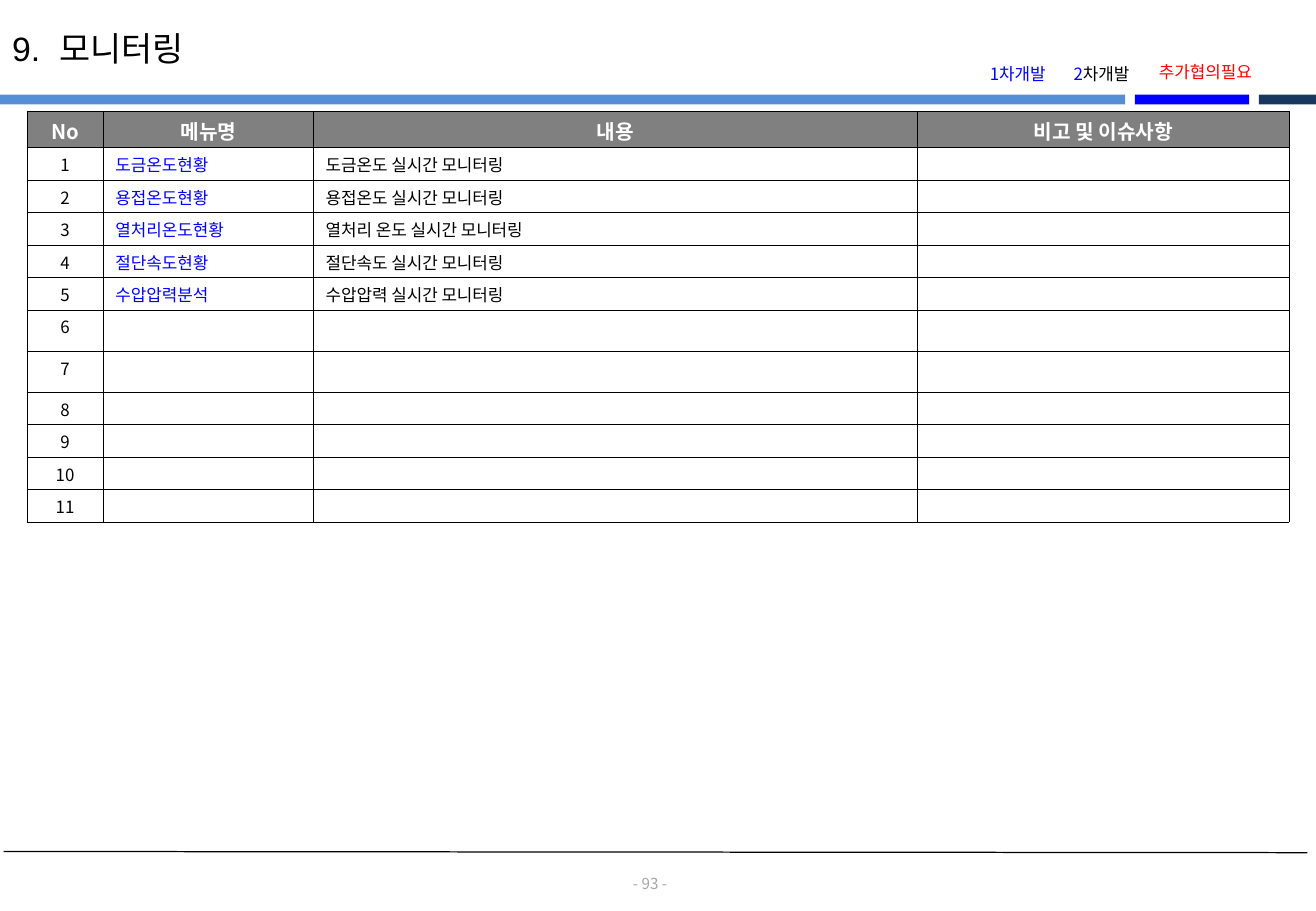
from lxml.etree import SubElement
from pptx import Presentation
from pptx.dml.color import RGBColor
from pptx.enum.shapes import MSO_CONNECTOR, MSO_SHAPE
from pptx.enum.text import MSO_ANCHOR, MSO_AUTO_SIZE, PP_ALIGN
from pptx.oxml import parse_xml
from pptx.oxml.ns import nsdecls, qn
from pptx.util import Inches, Pt

COLORS = {"sky": "558ED5", "blue": "0000FF", "navy": "17375E", "black": "000000",
          "white": "FFFFFF", "gray": "808080", "light": "A6A6A6", "red": "FF0000"}
KOREAN = "Noto Sans CJK KR"
WIDTH, HEIGHT = 10.83, 7.5


def add_run(paragraph, text, color, size=10, font=KOREAN, bold=False):
    run = paragraph.add_run()
    run.text = text
    formats = {"size": Pt(size), "name": font, "bold": bold}
    for name, value in formats.items():
        setattr(run.font, name, value)
    run.font.color.rgb = RGBColor.from_string(COLORS[color])
    if font == KOREAN:
        SubElement(run.font._element, qn("a:ea"), typeface=font)
    return run


def add_label(left, top, width, height, runs, size):
    box = slide.shapes.add_textbox(*map(Inches, (left, top, width, height)))
    formats = {"margin_left": 0, "margin_right": 0, "margin_top": 0, "margin_bottom": 0,
               "word_wrap": True, "vertical_anchor": MSO_ANCHOR.MIDDLE}
    for name, value in formats.items():
        setattr(box.text_frame, name, value)
    paragraph = box.text_frame.paragraphs[0]
    paragraph.alignment = PP_ALIGN.CENTER
    for text, color in runs:
        add_run(paragraph, text, color, size)


presentation = Presentation()
presentation.slide_width, presentation.slide_height = Inches(WIDTH), Inches(HEIGHT)
slide = presentation.slides.add_slide(presentation.slide_layouts[5])

# Header bars
for left, width, color in [(0, 9.26, "sky"), (9.34, 0.94, "blue"), (10.36, 0.47, "navy")]:
    bar = slide.shapes.add_shape(MSO_SHAPE.RECTANGLE, *map(Inches, (left, 0.78, width, 0.08)))
    bar.shadow.inherit = False
    bar.fill.solid()
    bar.fill.fore_color.rgb = RGBColor.from_string(COLORS[color])
    bar.line.fill.background()

# Footer line and page number
line = slide.shapes.add_connector(MSO_CONNECTOR.STRAIGHT, *map(Inches, (0.03, 7.01, 10.76, 7.02)))
line.line.width = Pt(0.75)
line.line.color.rgb = RGBColor.from_string(COLORS["black"])
SubElement(line._element.spPr, qn("a:effectLst"))
add_label(5.05, 7.2, 0.6, 0.15, [("- 93 -", "light")], 9)

# Title, with a wider gap after the number
title = slide.shapes.title
title.left, title.top, title.width, title.height = map(Inches, (0, 0.18, 9.48, 0.44))
formats = {"vertical_anchor": MSO_ANCHOR.TOP, "auto_size": MSO_AUTO_SIZE.NONE, "word_wrap": True}
for name, value in formats.items():
    setattr(title.text_frame, name, value)
heading = title.text_frame.paragraphs[0]
heading.alignment = PP_ALIGN.LEFT
add_run(heading, "9.", "black", 20, "Arial")
gap = add_run(heading, " ", "black", 20, "Arial")
gap.font._element.set("spc", "550")
add_run(heading, "모니터링", "black", 20, "Arial")

# Development phase labels
add_label(7.94, 0.52, 0.87, 0.18, [("1차개발", "blue")], 10)
add_label(8.63, 0.52, 0.87, 0.18, [("2", "blue"), ("차개발", "black")], 10)
add_label(9.39, 0.5, 1.06, 0.18, [("추가협의필요", "red")], 10)

# Menu table
headers = ["No", "메뉴명", "내용", "비고 및 이슈사항"]
menus = [("도금온도현황", "도금온도 실시간 모니터링"),
         ("용접온도현황", "용접온도 실시간 모니터링"),
         ("열처리온도현황", "열처리 온도 실시간 모니터링"),
         ("절단속도현황", "절단속도 실시간 모니터링"),
         ("수압압력분석", "수압압력 실시간 모니터링")]
ROW_COUNT = 11
rows = [headers]
for number in range(1, ROW_COUNT + 1):
    menu, content = menus[number - 1] if number <= len(menus) else ("", "")
    rows.append([str(number), menu, content, ""])
row_heights = [0.3] + [0.34 if number in (6, 7) else 0.267 for number in range(1, ROW_COUNT + 1)]
column_widths = [0.63, 1.73, 4.97, 3.06]
column_colors = ["black", "blue", "black", "black"]

frame = slide.shapes.add_table(len(rows), len(headers), Inches(0.22), Inches(0.915),
                               Inches(sum(column_widths)), Inches(sum(row_heights)))
table = frame.table
table.first_row = table.horz_banding = False
for column, width in zip(table.columns, column_widths):
    column.width = Inches(width)
for row_index, texts in enumerate(rows):
    table.rows[row_index].height = Inches(row_heights[row_index])
    is_header = row_index == 0
    for column_index, text in enumerate(texts):
        cell = table.cell(row_index, column_index)
        cell.margin_top, cell.margin_bottom = Inches(0.04), Inches(0.02)
        paragraph = cell.text_frame.paragraphs[0]
        if is_header or column_index == 0:
            paragraph.alignment = PP_ALIGN.CENTER
        if text:
            color = "white" if is_header else column_colors[column_index]
            add_run(paragraph, text, color, 12 if is_header else 10, bold=is_header)
        else:
            SubElement(paragraph._p, qn("a:endParaRPr"), sz="1000")
        if is_header:
            cell.fill.solid()
            cell.fill.fore_color.rgb = RGBColor.from_string(COLORS["gray"])
        else:
            cell.fill.background()
        # Thin cell borders
        for position, side in enumerate("LRTB"):
            cell._tc.get_or_add_tcPr().insert(position, parse_xml(
                f'<a:ln{side} {nsdecls("a")} w="{Pt(0.25)}"><a:solidFill>'
                f'<a:srgbClr val="{COLORS["black"]}"/></a:solidFill></a:ln{side}>'))

presentation.save("out.pptx")
